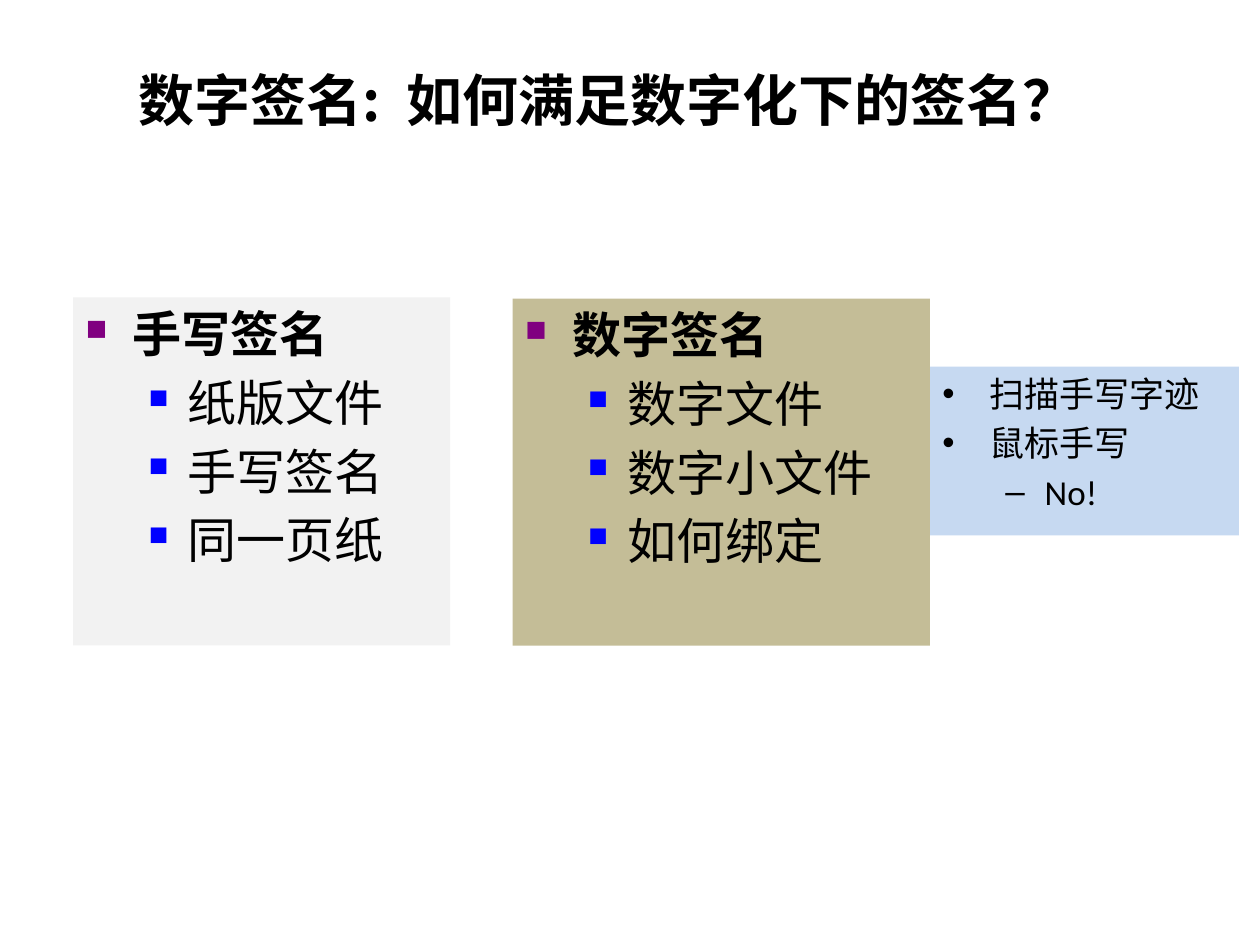
import dataclasses

import lxml.etree
import pptx
import pptx.dml.color
import pptx.enum.shapes
import pptx.enum.text
import pptx.oxml.ns
import pptx.util

Pt = pptx.util.Pt


@dataclasses.dataclass(frozen=True)
class Theme:
    """Colours, fonts and type sizes of the slide."""
    text: str = "000000"
    paper: str = "F2F2F2"
    digital: str = "C4BD97"
    remark: str = "C6D9F1"
    purple: str = "800080"
    blue: str = "0000FF"
    title_font: str = "Noto Sans CJK SC"
    list_font: str = "Lato"
    remark_font: str = "Calibri"
    title_size: int = 32
    list_size: int = 28
    remark_size: int = 20


THEME = Theme()
INDENTS = ((27, -27), (58.5, -22.5))
SQUARES = (
    {"buClr": THEME.purple, "buSzPct": "60000", "buFont": "Wingdings", "buChar": "n"},
    {"buClr": THEME.blue, "buSzPct": "55000", "buFont": "Wingdings", "buChar": "n"},
)
DOT_AND_DASH = (
    {"buFont": "Arial", "buChar": "•"},
    {"buFont": "Arial", "buChar": "–"},
)
BULLET_ATTRIBUTES = {"buSzPct": "val", "buFont": "typeface", "buChar": "char"}


def rgb(colour):
    """Return a colour object for a hex string."""
    return pptx.dml.color.RGBColor.from_string(colour)


def set_values(target, values):
    """Set every attribute in a dict of format values."""
    for name, value in values.items():
        setattr(target, name, value)


def add_child(parent, tag, **attributes):
    """Append a DrawingML element and return it."""
    return lxml.etree.SubElement(parent, pptx.oxml.ns.qn("a:" + tag), attributes)


class SlideBuilder:
    """Holds the theme and the current slide."""

    def __init__(self, slide, theme):
        """Keep the slide and its theme."""
        self.slide = slide
        self.theme = theme

    def add_text(self, paragraph, text, font, size, bold):
        """Add one run, with the same font for Latin and Chinese text."""
        run = paragraph.add_run()
        run.text = text
        set_values(run.font, {"name": font, "size": Pt(size), "bold": bold})
        run.font.color.rgb = rgb(self.theme.text)
        add_child(run._r.get_or_add_rPr(), "ea", typeface=font)

    def title(self, box, text):
        """Add the centred title."""
        frame = self.slide.shapes.add_textbox(*map(Pt, box)).text_frame
        set_values(frame, {"word_wrap": True,
                           "vertical_anchor": pptx.enum.text.MSO_ANCHOR.MIDDLE})
        paragraph = frame.paragraphs[0]
        paragraph.alignment = pptx.enum.text.PP_ALIGN.CENTER
        self.add_text(paragraph, text, self.theme.title_font,
                      self.theme.title_size, True)

    def bullet(self, paragraph, level, style):
        """Set the hanging indent and the bullet of a paragraph."""
        properties = paragraph._p.get_or_add_pPr()
        for name, value in zip(("marL", "indent"), INDENTS[level]):
            properties.set(name, str(Pt(value)))
        for tag, value in style.items():
            if tag == "buClr":
                add_child(add_child(properties, tag), "srgbClr", val=value)
            else:
                add_child(properties, tag, **{BULLET_ATTRIBUTES[tag]: value})

    def panel(self, box, fill, items, bullets, font, size, bold_head):
        """Add a filled rectangle with a list of (level, text) items."""
        shape = self.slide.shapes.add_shape(
            pptx.enum.shapes.MSO_SHAPE.RECTANGLE, *map(Pt, box))
        shape.shadow.inherit = False
        shape.fill.solid()
        shape.fill.fore_color.rgb = rgb(fill)
        shape.line.fill.background()
        frame = shape.text_frame
        set_values(frame, {"word_wrap": True,
                           "vertical_anchor": pptx.enum.text.MSO_ANCHOR.TOP})
        for index, (level, text) in enumerate(items):
            paragraph = frame.add_paragraph() if index else frame.paragraphs[0]
            set_values(paragraph, {"level": level, "space_before": Pt(size * 0.2),
                                   "alignment": pptx.enum.text.PP_ALIGN.LEFT})
            self.bullet(paragraph, level, bullets[level])
            self.add_text(paragraph, text, font, size, bold_head and level == 0)


def main():
    """Build and save the slide."""
    presentation = pptx.Presentation()
    set_values(presentation, {"slide_width": Pt(720), "slide_height": Pt(540)})
    slide = presentation.slides.add_slide(presentation.slide_layouts[6])
    builder = SlideBuilder(slide, THEME)

    builder.panel((531.4, 209.5, 176.6, 96.5), THEME.remark,
                  ((0, "扫描手写字迹"), (0, "鼠标手写"), (1, "No!")),
                  DOT_AND_DASH, THEME.remark_font, THEME.remark_size, False)
    builder.title((41.8, 28, 612, 57), "数字签名:  如何满足数字化下的签名？")
    signatures = (
        ((41.8, 170, 215.5, 198.8), THEME.paper,
         ("手写签名", "纸版文件", "手写签名", "同一页纸")),
        ((293, 170.6, 238.4, 198.4), THEME.digital,
         ("数字签名", "数字文件", "数字小文件", "如何绑定")),
    )
    for box, fill, texts in signatures:
        items = [(min(index, 1), text) for index, text in enumerate(texts)]
        builder.panel(box, fill, items, SQUARES,
                      THEME.list_font, THEME.list_size, True)

    presentation.save("out.pptx")


main()
